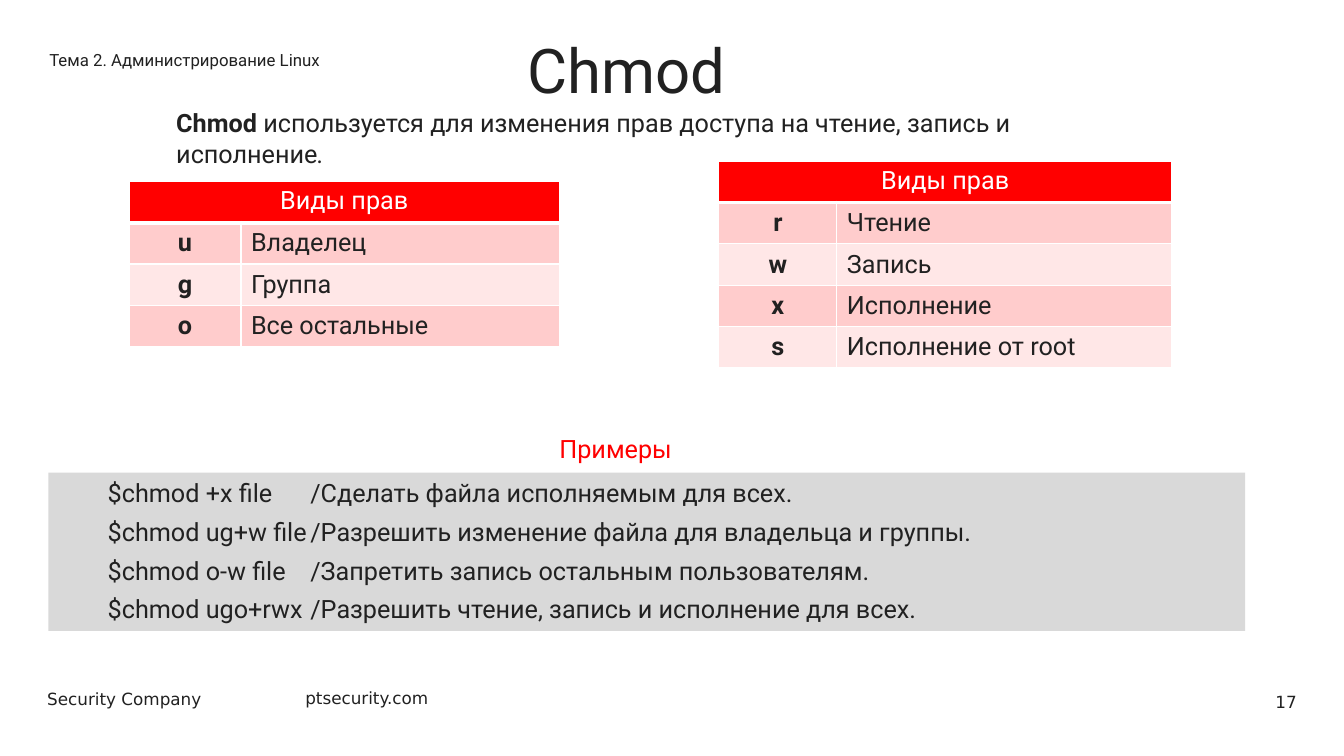
from dataclasses import dataclass, field

from lxml.etree import SubElement
from pptx import Presentation
from pptx.dml.color import RGBColor
from pptx.enum.shapes import MSO_SHAPE
from pptx.enum.text import MSO_ANCHOR, MSO_AUTO_SIZE, PP_ALIGN
from pptx.oxml import parse_xml
from pptx.oxml.ns import nsdecls, qn
from pptx.slide import Slide
from pptx.text.text import TextFrame
from pptx.util import Pt

EMU_PER_PX = 9144


@dataclass(frozen=True)
class Theme:
    ink: str = "212121"
    accent: str = "FF0000"
    white: str = "FFFFFF"
    panel: str = "D9D9D9"
    bands: tuple[str, str] = ("FFCCCC", "FFE7E7")
    body_font: str = "Roboto"
    footer_font: str = "DejaVu Sans"
    small: int = 12
    body: int = 18
    title: int = 44


THEME = Theme()


@dataclass(frozen=True)
class Box:
    left: int
    top: int
    width: int
    height: int

    def emu(self) -> tuple[int, ...]:
        return tuple(px(v) for v in (self.left, self.top, self.width, self.height))


@dataclass(frozen=True)
class Span:
    text: str
    style: dict = field(default_factory=dict)


@dataclass(frozen=True)
class Line:
    spans: tuple[Span, ...]
    size: int = THEME.body
    color: str = THEME.ink
    font: str = THEME.body_font
    layout: dict = field(default_factory=dict)
    margin: int = 0
    indent: int = 0
    tab: int = 0


@dataclass(frozen=True)
class Label:
    box: Box
    line: Line
    frame: dict = field(default_factory=dict)


@dataclass(frozen=True)
class RightsTable:
    box: Box
    columns: tuple[int, int]
    rights: tuple[tuple[str, str], ...]


@dataclass(frozen=True)
class Example:
    command: str
    meaning: str
    tab: int = 400


ROW_HEIGHT = 41
CENTER = {"alignment": PP_ALIGN.CENTER}
MIDDLE = {"vertical_anchor": MSO_ANCHOR.MIDDLE}
GROW = {"auto_size": MSO_AUTO_SIZE.SHAPE_TO_FIT_TEXT}
UNWRAPPED = {**GROW, "word_wrap": False}

LABELS = (
    Label(Box(37, 678, 198, 30),
          Line((Span("Security Company"),), THEME.small, font=THEME.footer_font), UNWRAPPED),
    Label(Box(293, 677, 144, 30),
          Line((Span("ptsecurity.com"),), THEME.small, font=THEME.footer_font), UNWRAPPED),
    Label(Box(1072, 676, 224, 40),
          Line((Span("17"),), THEME.small, font=THEME.footer_font,
               layout={"alignment": PP_ALIGN.RIGHT}), MIDDLE),
    Label(Box(217, 35, 809, 75),
          Line((Span("Chmod"),), THEME.title, layout={**CENTER, "line_spacing": 0.9})),
    Label(Box(165, 102, 947, 55),
          Line((Span("Сhmod ", {"bold": True}),
                Span("используется для изменения прав доступа на чтение, запись и исполнение"),
                Span(".", {"italic": True})), layout={"space_after": Pt(12)})),
    Label(Box(515, 425, 214, 40),
          Line((Span("Примеры"),), color=THEME.accent, margin=30), GROW),
    Label(Box(39, 34, 331, 50),
          Line((Span("Тема 2. Администрирование Linux"),), THEME.small,
               layout={"space_after": Pt(12)}), MIDDLE),
)

TABLES = (
    RightsTable(Box(713, 160, 449, 5 * ROW_HEIGHT), (117, 332),
                (("r", "Чтение"), ("w", "Запись"), ("x", "Исполнение"),
                 ("s", "Исполнение от root"))),
    RightsTable(Box(128, 180, 427, 4 * ROW_HEIGHT), (111, 316),
                (("u", "Владелец"), ("g", "Группа"), ("o", "Все остальные"))),
)

EXAMPLES_BOX = Box(48, 469, 1187, 157)
EXAMPLES = (
    Example("$chmod +x file", "/Сделать файла исполняемым для всех."),
    Example("$chmod ug+w file", "/Разрешить изменение файла для владельца и группы."),
    Example("$chmod o-w file", "/Запретить запись остальным пользователям."),
    Example("$chmod ugo+rwx", "/Разрешить чтение, запись и исполнение для всех.", 424),
)


def px(value: int) -> int:
    return value * EMU_PER_PX


def rgb(color: str) -> RGBColor:
    return RGBColor.from_string(color)


def apply(target: object, values: dict) -> None:
    for attribute, value in values.items():
        setattr(target, attribute, value)


def write(frame: TextFrame, lines: tuple[Line, ...]) -> None:
    for index, line in enumerate(lines):
        paragraph = frame.add_paragraph() if index else frame.paragraphs[0]
        properties = paragraph._p.get_or_add_pPr()
        properties.set("marL", str(px(line.margin)))
        properties.set("indent", str(px(line.indent)))
        if line.tab:
            stops = SubElement(properties, qn("a:tabLst"))
            SubElement(stops, qn("a:tab"), pos=str(px(line.tab)), algn="l")
        apply(paragraph, line.layout)
        for span in line.spans:
            run = paragraph.add_run()
            run.text = span.text
            apply(run.font, {"name": line.font, "size": Pt(line.size), **span.style})
            run.font.color.rgb = rgb(line.color)


def draw_label(slide: Slide, label: Label) -> None:
    frame = slide.shapes.add_textbox(*label.box.emu()).text_frame
    apply(frame, {"word_wrap": True, **label.frame})
    write(frame, (label.line,))


def draw_examples(slide: Slide) -> None:
    panel = slide.shapes.add_shape(MSO_SHAPE.RECTANGLE, *EXAMPLES_BOX.emu())
    panel.shadow.inherit = False
    panel.fill.solid()
    panel.fill.fore_color.rgb = rgb(THEME.panel)
    panel.line.fill.background()
    apply(panel.text_frame, {"word_wrap": True, "vertical_anchor": MSO_ANCHOR.TOP, **GROW})
    layout = {"alignment": PP_ALIGN.LEFT, "space_after": Pt(6)}
    write(panel.text_frame, tuple(
        Line((Span(f"{example.command}\t{example.meaning}"),), layout=layout,
             indent=49, tab=example.tab) for example in EXAMPLES))


def draw_table(slide: Slide, spec_table: RightsTable) -> None:
    table = slide.shapes.add_table(
        len(spec_table.rights) + 1, 2, *spec_table.box.emu()).table
    for column, width in zip(table.columns, spec_table.columns):
        column.width = px(width)
    for row in table.rows:
        row.height = px(ROW_HEIGHT)
    header = table.cell(0, 0)
    header.merge(table.cell(0, 1))
    write(header.text_frame, (Line((Span("Виды прав"),), color=THEME.white, layout=CENTER),))
    for row, (letter, meaning) in enumerate(spec_table.rights, 1):
        key, value = table.cell(row, 0), table.cell(row, 1)
        write(key.text_frame, (Line((Span(letter, {"bold": True}),), layout=CENTER),))
        write(value.text_frame, (Line((Span(meaning),)),))
        for cell in (key, value):
            apply(cell, MIDDLE)
    for row in range(len(table.rows)):
        for column in range(2):
            cell = table.cell(row, column)
            cell.fill.solid()
            cell.fill.fore_color.rgb = rgb(THEME.bands[(row - 1) % 2] if row else THEME.accent)
            for position, side in enumerate("LRTB"):
                thick = (side, row) in (("B", 0), ("T", 1))
                cell._tc.get_or_add_tcPr().insert(position, parse_xml(
                    f'<a:ln{side} {nsdecls("a")} w="{Pt(3 if thick else 1)}"><a:solidFill>'
                    f'<a:srgbClr val="{THEME.white}"/></a:solidFill></a:ln{side}>'))


def main() -> None:
    presentation = Presentation()
    apply(presentation, {"slide_width": px(1333), "slide_height": px(750)})
    slide = presentation.slides.add_slide(presentation.slide_layouts[6])
    for label in LABELS[:5]:
        draw_label(slide, label)
    draw_examples(slide)
    for rights_table in TABLES:
        draw_table(slide, rights_table)
    for label in LABELS[5:]:
        draw_label(slide, label)
    presentation.save("out.pptx")


if __name__ == "__main__":
    main()
